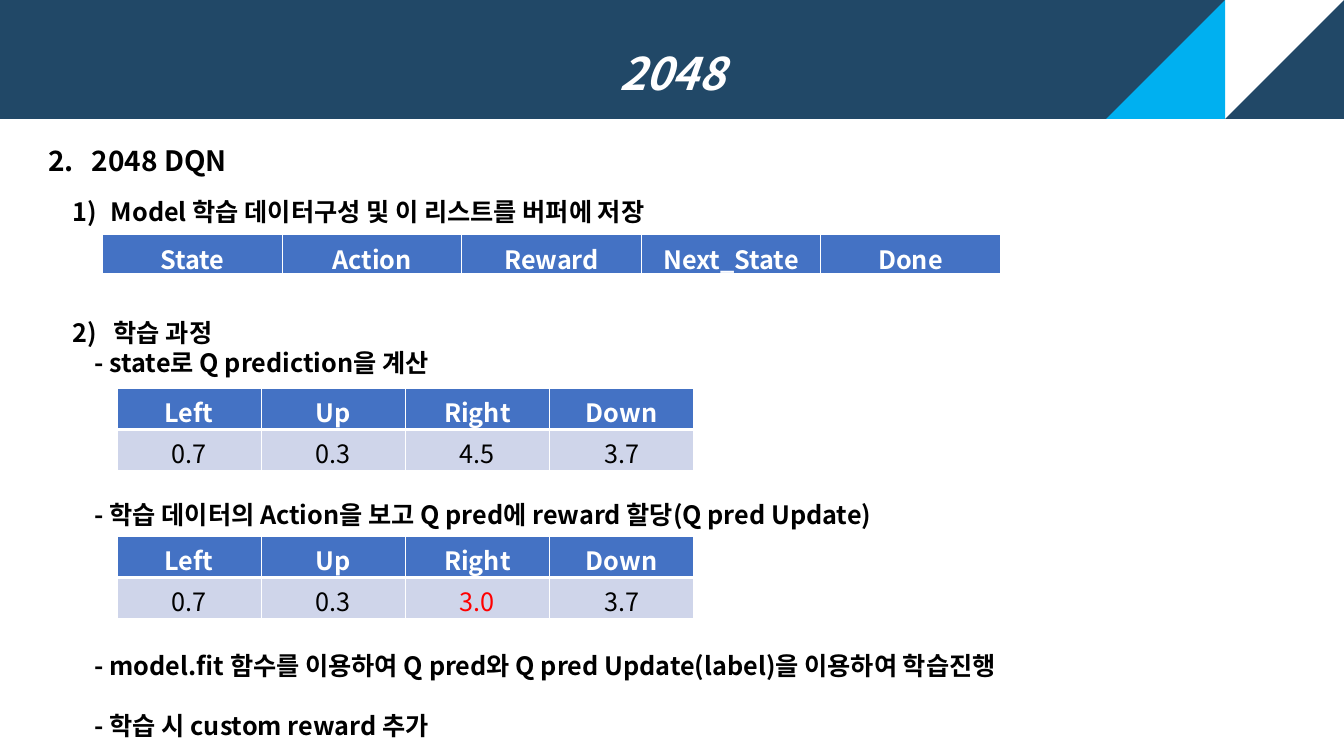
from dataclasses import dataclass

from lxml import etree
from pptx import Presentation
from pptx import util as u
from pptx.dml.color import RGBColor
from pptx.enum import shapes, text
from pptx.oxml import ns

FONT = "Noto Sans CJK KR"
WHITE, BLACK, RED = "FFFFFF", "000000", "FF0000"
NAVY, SKY, BLUE, PALE = "214867", "00B0F0", "4472C4", "CFD5EA"
HEADER_H = 1.18
LINE_PT = 21.6  # height of one line of 18 pt text


@dataclass
class Line:
    words: str
    gap: int = 0  # free lines above
    left: float = 0.22
    hang: float = 0
    numbered: bool = False


@dataclass
class Grid:
    left: float
    top: float
    col_w: float
    row_h: float
    rows: list[list[str]]
    marked: str = ""  # value shown in red


@dataclass
class Corner:
    left: float
    angle: int
    color: str


LINES = [
    Line("Model 학습 데이터구성 및 이 리스트를 버퍼에 저장", left=0.38, hang=0.38, numbered=True),
    Line("2)\t학습 과정", gap=3, left=0.41, hang=0.41),
    Line("- state로 Q prediction을 계산"),
    Line("- 학습 데이터의 Action을 보고 Q pred에 reward 할당(Q pred Update)", gap=4),
    Line("- model.fit 함수를 이용하여 Q pred와 Q pred Update(label)을 이용하여 학습진행", gap=4),
    Line("- 학습 시 custom reward 추가", gap=1),
]
MOVES = ["Left", "Up", "Right", "Down"]
GRIDS = [
    Grid(1.02, 2.33, 1.78, 0.4, [["State", "Action", "Reward", "Next_State", "Done"]]),
    Grid(1.16, 3.85, 1.43, 0.41, [MOVES, ["0.7", "0.3", "4.5", "3.7"]]),
    Grid(1.16, 5.32, 1.43, 0.41, [MOVES, ["0.7", "0.3", "3.0", "3.7"]], marked="3.0"),
]
CORNERS = [Corner(12.15, 90, WHITE), Corner(10.97, 270, SKY)]


def rgb(color: str) -> RGBColor:
    return RGBColor.from_string(color)


def add_run(p, words: str, size: int, color: str, bold: bool = True, italic: bool = False) -> None:
    r = p.add_run()
    r.text = words
    r.font.name = FONT
    r.font.size = u.Pt(size)
    r.font.bold = bold
    r.font.italic = italic
    r.font.color.rgb = rgb(color)
    ea = etree.SubElement(r.font._element, ns.qn("a:ea"))
    ea.set("typeface", FONT)


def set_indent(p, left: float, hang: float) -> None:
    pPr = p._p.get_or_add_pPr()
    pPr.set("marL", str(u.Inches(left)))
    pPr.set("indent", str(-u.Inches(hang)))


def add_box(s, left: float, top: float, width: float, height: float):
    tf = s.shapes.add_textbox(*map(u.Inches, (left, top, width, height))).text_frame
    tf.word_wrap = True
    return tf


def add_corner(s, corner: Corner) -> None:
    sp = s.shapes.add_shape(
        shapes.MSO_SHAPE.RIGHT_TRIANGLE,
        u.Inches(corner.left), 0, u.Inches(HEADER_H), u.Inches(HEADER_H))
    sp.rotation = corner.angle
    sp.shadow.inherit = False
    sp.fill.solid()
    sp.fill.fore_color.rgb = rgb(corner.color)
    sp.line.fill.background()


def set_borders(cell, bottom_pt: int) -> None:
    tcPr = cell._tc.get_or_add_tcPr()
    for i, (side, width) in enumerate(zip("LRTB", (1, 1, 1, bottom_pt))):
        ln = etree.Element(ns.qn(f"a:ln{side}"), w=str(u.Pt(width)))
        fill = etree.SubElement(ln, ns.qn("a:solidFill"))
        etree.SubElement(fill, ns.qn("a:srgbClr"), val=WHITE)
        tcPr.insert(i, ln)


def add_grid(s, grid: Grid) -> None:
    n_rows, n_cols = len(grid.rows), len(grid.rows[0])
    table = s.shapes.add_table(
        n_rows, n_cols, u.Inches(grid.left), u.Inches(grid.top),
        u.Inches(grid.col_w * n_cols), u.Inches(grid.row_h * n_rows)).table
    table.horz_banding = False
    for i, row in enumerate(grid.rows):
        head = i == 0
        for j, words in enumerate(row):
            cell = table.cell(i, j)
            cell.fill.solid()
            cell.fill.fore_color.rgb = rgb(BLUE if head else PALE)
            set_borders(cell, 3 if head else 1)
            p = cell.text_frame.paragraphs[0]
            p.alignment = text.PP_ALIGN.CENTER
            color = WHITE if head else RED if words == grid.marked else BLACK
            add_run(p, words, 18, color, bold=head)


def main() -> None:
    prs = Presentation()
    prs.slide_width, prs.slide_height = u.Inches(13.33), u.Inches(7.5)
    s = prs.slides.add_slide(prs.slide_layouts[5])

    # Header band
    title = s.shapes.title
    title.left, title.top = 0, 0
    title.width, title.height = prs.slide_width, u.Inches(HEADER_H)
    title.fill.solid()
    title.fill.fore_color.rgb = rgb(NAVY)
    tf = title.text_frame
    tf.auto_size = text.MSO_AUTO_SIZE.NONE
    tf.vertical_anchor = text.MSO_ANCHOR.MIDDLE
    p = tf.paragraphs[0]
    p.alignment = text.PP_ALIGN.CENTER
    p.line_spacing = 1.5
    add_run(p, "2048", 32, WHITE, italic=True)
    for corner in CORNERS:
        add_corner(s, corner)

    # Section heading
    p = add_box(s, 0.38, 1.37, 11.85, 0.44).paragraphs[0]
    set_indent(p, 0.43, 0.43)
    add_run(p, "2.\t2048 DQN", 20, BLACK)

    # Steps
    tf = add_box(s, 0.62, 1.9, 12.09, 5.55)
    for i, line in enumerate(LINES):
        p = tf.add_paragraph() if i else tf.paragraphs[0]
        p.space_before = u.Pt(line.gap * LINE_PT)
        set_indent(p, line.left, line.hang)
        if line.numbered:
            pPr = p._p.get_or_add_pPr()
            etree.SubElement(pPr, ns.qn("a:buFont"), typeface="+mj-lt")
            etree.SubElement(pPr, ns.qn("a:buAutoNum"), type="arabicParenR")
        add_run(p, line.words, 18, BLACK)

    # Tables
    for grid in GRIDS:
        add_grid(s, grid)

    prs.save("out.pptx")


if __name__ == "__main__":
    main()
